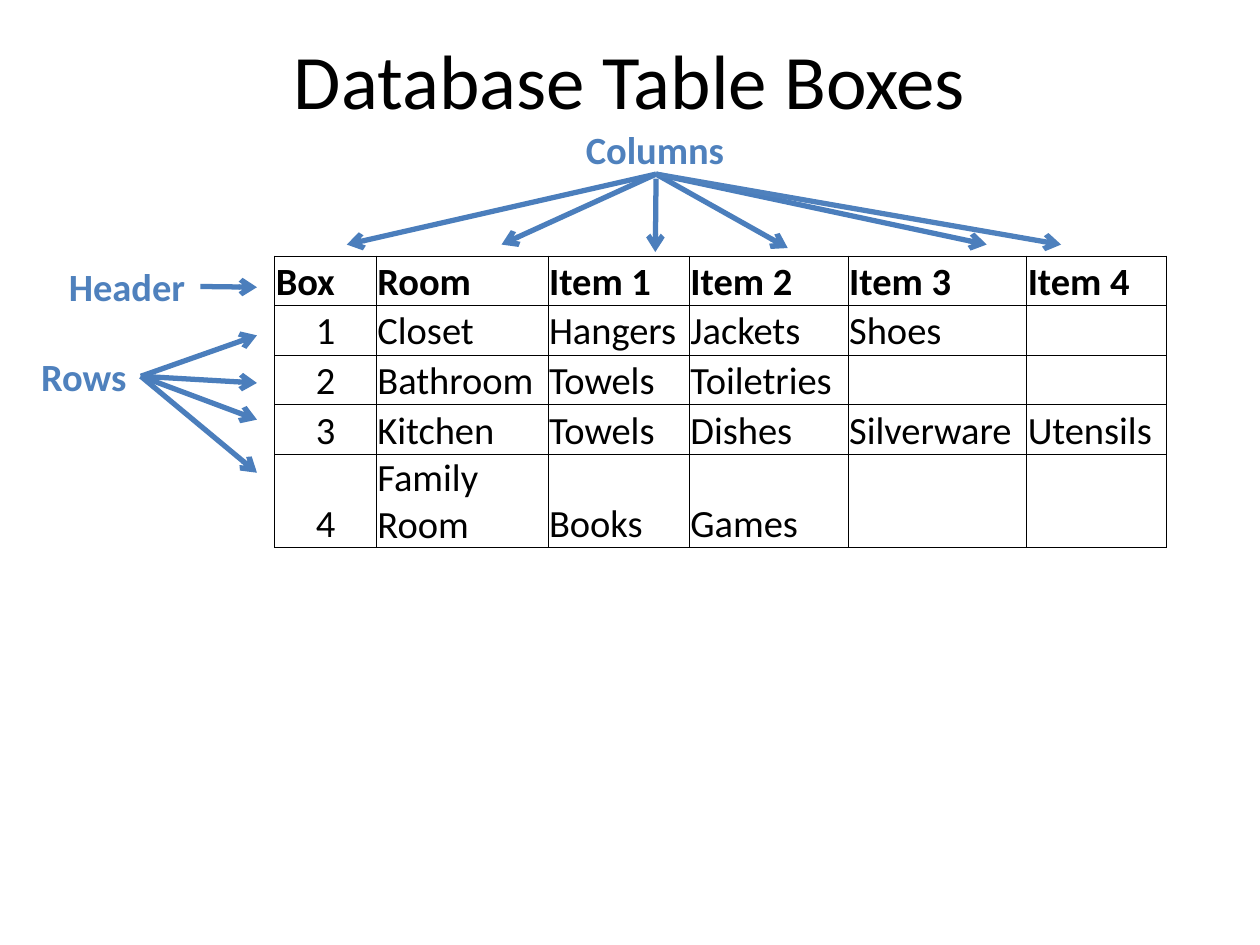
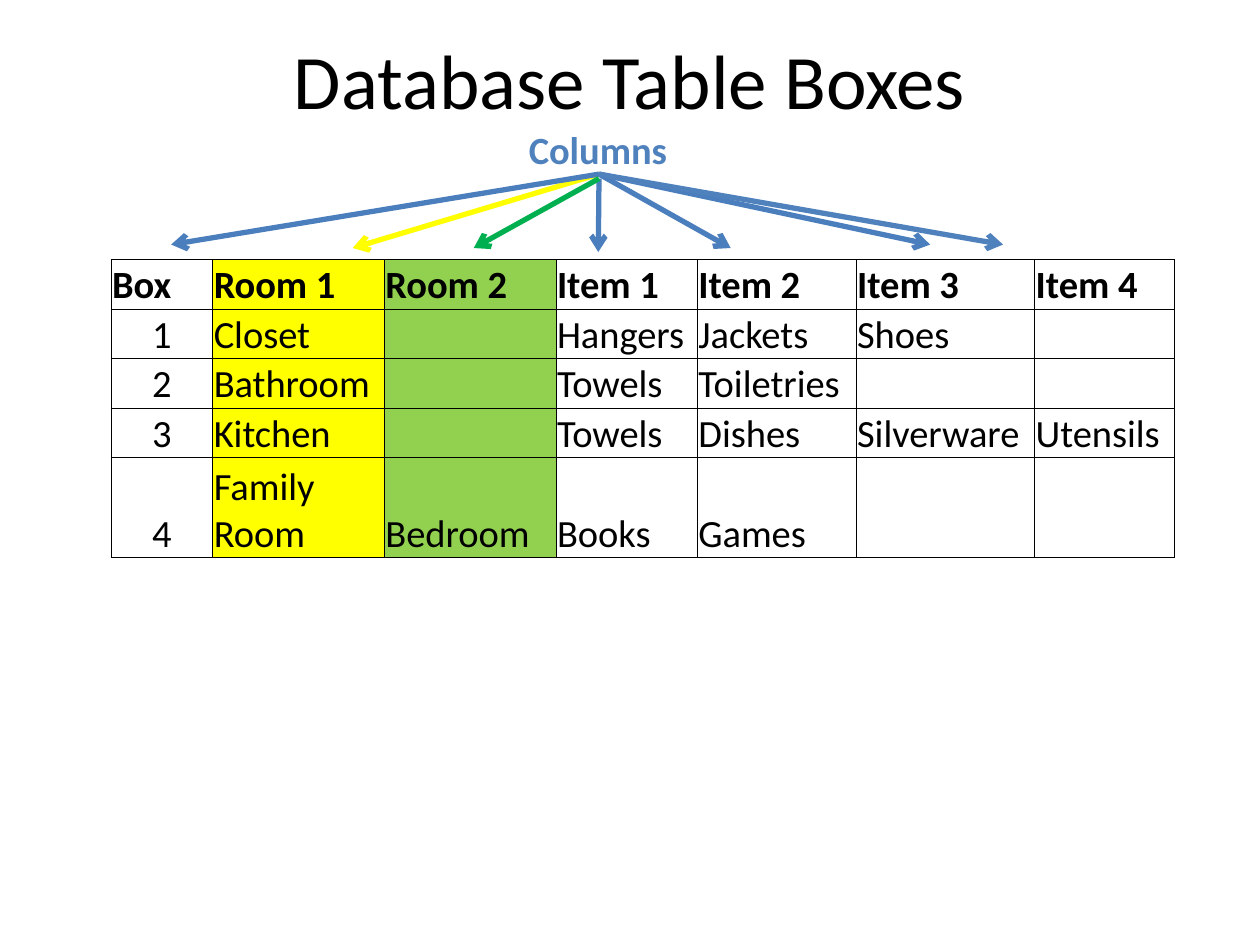
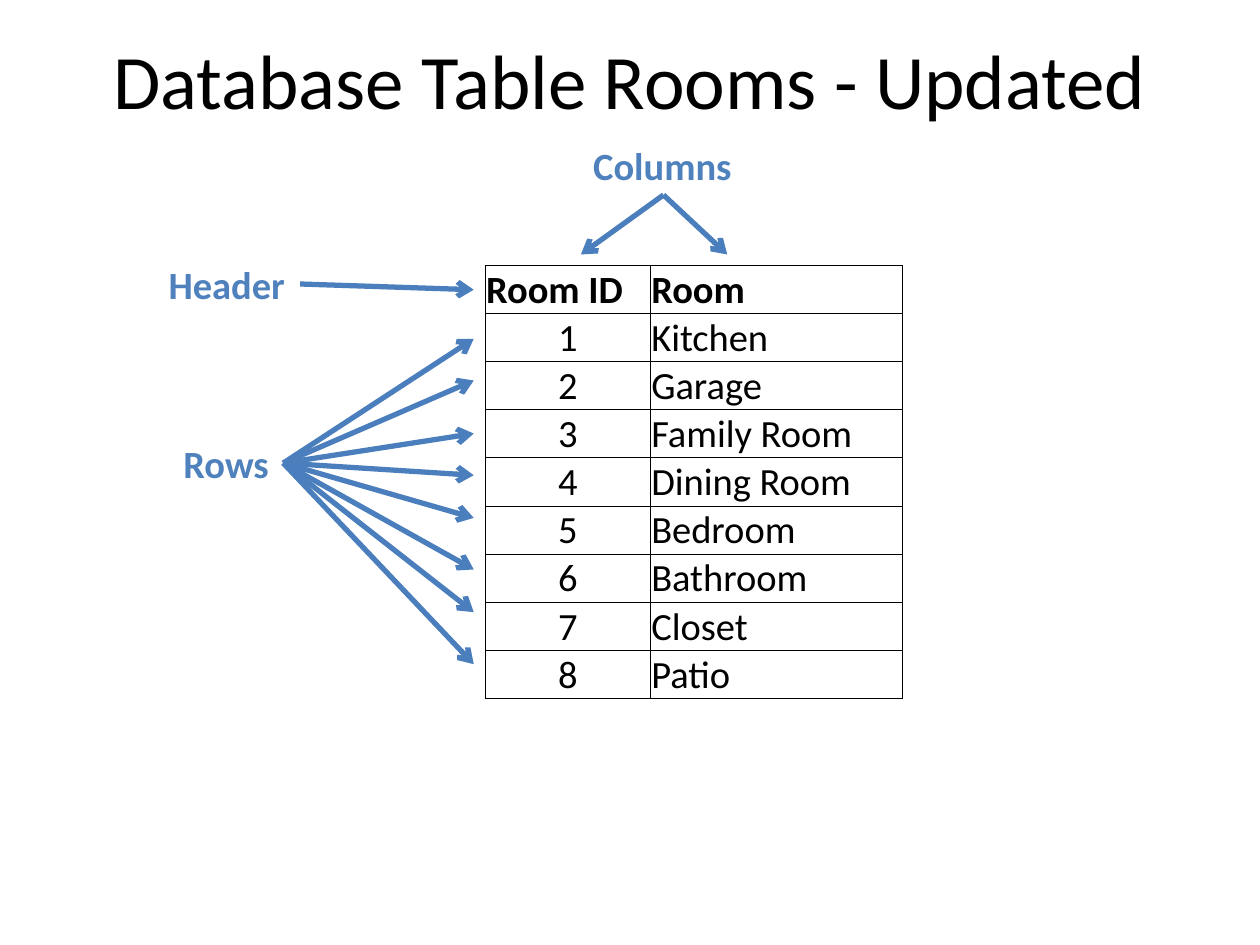
import typing

import pptx
import pptx.dml.color
import pptx.enum.shapes
import pptx.enum.text
import pptx.oxml
import pptx.oxml.ns
import pptx.util

Cm = pptx.util.Cm
Pt = pptx.util.Pt
RGBColor = pptx.dml.color.RGBColor
Align = pptx.enum.text.PP_ALIGN
Anchor = pptx.enum.text.MSO_ANCHOR

FONT = "Calibri"
BLACK = RGBColor(0x00, 0x00, 0x00)
LABEL_BLUE = RGBColor(0x4F, 0x81, 0xBD)
ARROW_BLUE = RGBColor(0x4B, 0x7E, 0xBC)
YELLOW = RGBColor(0xFF, 0xFF, 0x00)
LIGHT_GREEN = RGBColor(0x92, 0xD0, 0x50)
GREEN = RGBColor(0x00, 0xB0, 0x50)

# All lengths below are centimetres.
TITLE_BOX = (1.27, 0, 22.86, 3.18)
LABEL_HEIGHT = 1.19
LABEL_WIDTHS = {"Columns": 3.33, "Header": 2.9, "Rows": 2.26}
LABEL_SIDES = {"Columns": 2, "Header": 3, "Rows": 3}
LIFT = 0.09


class Arrow(typing.NamedTuple):
    """Arrow tip; a lifted arrow starts slightly inside its label."""
    x: float
    y: float
    lift: float = 0
    color: RGBColor = ARROW_BLUE


SLIDES = [
    {
        "title": "Database Table Boxes",
        "table_at": (5.54, 5.16),
        "columns": [2.05, 3.46, 2.85, 3.2, 3.6, 2.81],
        "row_heights": [1, 1, 1, 1, 1.88],
        "column_fills": {},
        "rows": [
            ["Box", "Room", "Item 1", "Item 2", "Item 3", "Item 4"],
            ["1", "Closet", "Hangers", "Jackets", "Shoes", ""],
            ["2", "Bathroom", "Towels", "Toiletries", "", ""],
            ["3", "Kitchen", "Towels", "Dishes", "Silverware", "Utensils"],
            ["4", "Family Room", "Books", "Games", "", ""],
        ],
        "labels": [
            ("Rows", (0.58, 6.99), [Arrow(5.18, y) for y in (6.76, 7.72, 8.46, 9.53)]),
            ("Header", (1.14, 5.18), [Arrow(5.18, 5.79)]),
            ("Columns", (11.56, 2.41), [
                Arrow(13.21, 5.08),
                Arrow(10.11, 4.93, LIFT),
                Arrow(6.99, 4.93, LIFT),
                Arrow(15.88, 5, LIFT),
                Arrow(19.89, 4.93, LIFT),
                Arrow(21.39, 4.93, LIFT, LABEL_BLUE),
            ]),
        ],
    },
    {
        "title": "Database Table Boxes",
        "table_at": (2.24, 5.23),
        "columns": [2.05, 3.46, 3.46, 2.85, 3.2, 3.6, 2.81],
        "row_heights": [1, 1, 1, 1, 2.01],
        "column_fills": {1: YELLOW, 2: LIGHT_GREEN},
        "rows": [
            ["Box", "Room 1", "Room 2", "Item 1", "Item 2", "Item 3", "Item 4"],
            ["1", "Closet", "", "Hangers", "Jackets", "Shoes", ""],
            ["2", "Bathroom", "", "Towels", "Toiletries", "", ""],
            ["3", "Kitchen", "", "Towels", "Dishes", "Silverware", "Utensils"],
            ["4", "Family Room", "Bedroom", "Books", "Games", "", ""],
        ],
        "labels": [
            ("Columns", (10.41, 2.41), [
                Arrow(12.06, 5.08),
                Arrow(7.11, 5, LIFT, YELLOW),
                Arrow(3.45, 4.93, LIFT),
                Arrow(14.73, 5, LIFT),
                Arrow(18.75, 4.93, LIFT),
                Arrow(20.22, 4.93, LIFT, LABEL_BLUE),
                Arrow(9.55, 5, color=GREEN),
            ]),
        ],
    },
    {
        "title": "Database Table Rooms - Updated",
        "table_at": (9.78, 5.35),
        "columns": [3.33, 5.08],
        "row_heights": [0.97] * 9,
        "column_fills": {},
        "rows": [
            ["Room ID", "Room"],
            ["1", "Kitchen"],
            ["2", "Garage"],
            ["3", "Family Room"],
            ["4", "Dining Room"],
            ["5", "Bedroom"],
            ["6", "Bathroom"],
            ["7", "Closet"],
            ["8", "Patio"],
        ],
        "labels": [
            ("Rows", (3.45, 8.74), [
                Arrow(9.55, y)
                for y in (6.83, 7.67, 8.74, 9.58, 10.44, 11.48, 12.34, 13.39)
            ]),
            ("Columns", (11.71, 2.74), [Arrow(14.66, 5.13), Arrow(11.71, 5.13)]),
            ("Header", (3.15, 5.13), [Arrow(9.55, 5.84)]),
        ],
    },
]


def write_text(text_frame, text, size=22, color=BLACK, bold=False, align=Align.LEFT):
    paragraph = text_frame.paragraphs[0]
    paragraph.alignment = align
    run = paragraph.add_run()
    run.text = text
    run.font.name = FONT
    run.font.size = Pt(size)
    run.font.bold = bold
    run.font.color.rgb = color


def add_title(slide, title):
    text_frame = slide.shapes.add_textbox(*map(Cm, TITLE_BOX)).text_frame
    text_frame.word_wrap = True
    text_frame.vertical_anchor = Anchor.MIDDLE
    write_text(text_frame, title, size=44, align=Align.CENTER)


def add_arrow(slide, label, side, arrow):
    """Draw an arrow from the middle of the label's bottom (2) or right (3) side."""
    if side == 2:
        start_x, start_y = label.left + label.width // 2, label.top + label.height
    else:
        start_x, start_y = label.left + label.width, label.top + label.height // 2
    connector = slide.shapes.add_connector(
        pptx.enum.shapes.MSO_CONNECTOR.STRAIGHT,
        start_x, start_y - Cm(arrow.lift), Cm(arrow.x), Cm(arrow.y))
    if not arrow.lift:
        connector.begin_connect(label, side)
    connector.line.color.rgb = arrow.color
    connector.line.width = Pt(3)
    line = connector.line._get_or_add_ln()
    line.append(pptx.oxml.parse_xml(
        f'<a:tailEnd {pptx.oxml.ns.nsdecls("a")} type="arrow"/>'))
    line.addnext(pptx.oxml.parse_xml(f'<a:effectLst {pptx.oxml.ns.nsdecls("a")}/>'))


def add_label(slide, text, position, arrows):
    label = slide.shapes.add_textbox(
        *map(Cm, (*position, LABEL_WIDTHS[text], LABEL_HEIGHT)))
    label.text_frame.word_wrap = False
    label.text_frame.auto_size = pptx.enum.text.MSO_AUTO_SIZE.SHAPE_TO_FIT_TEXT
    write_text(label.text_frame, text, color=LABEL_BLUE, bold=True)
    for arrow in arrows:
        add_arrow(slide, label, LABEL_SIDES[text], arrow)


def add_borders(cell):
    properties = cell._tc.get_or_add_tcPr()
    for side in ("lnL", "lnR", "lnT", "lnB"):
        properties.append(pptx.oxml.parse_xml(
            f'<a:{side} {pptx.oxml.ns.nsdecls("a")} w="{Pt(0.5)}"><a:solidFill>'
            f'<a:srgbClr val="{BLACK}"/></a:solidFill></a:{side}>'))


def format_cell(cell, fill):
    add_borders(cell)
    cell.margin_left = cell.margin_right = cell.margin_top = Cm(0.02)
    cell.margin_bottom = 0
    cell.vertical_anchor = Anchor.BOTTOM
    if fill is None:
        cell.fill.background()
    else:
        cell.fill.solid()
        cell.fill.fore_color.rgb = fill


def add_data_table(slide, content):
    rows, widths, heights = content["rows"], content["columns"], content["row_heights"]
    table = slide.shapes.add_table(
        len(rows), len(widths), *map(Cm, content["table_at"]),
        Cm(sum(widths)), Cm(sum(heights))).table
    table.first_row = table.horz_banding = False
    for column, width in zip(table.columns, widths):
        column.width = Cm(width)
    for row, height in zip(table.rows, heights):
        row.height = Cm(height)
    for row_index, values in enumerate(rows):
        for column_index, value in enumerate(values):
            cell = table.cell(row_index, column_index)
            format_cell(cell, content["column_fills"].get(column_index))
            if value:
                is_number = row_index > 0 and column_index == 0
                write_text(cell.text_frame, value, bold=row_index == 0,
                           align=Align.CENTER if is_number else Align.LEFT)


def main():
    presentation = pptx.Presentation()
    presentation.slide_width = Cm(25.4)
    presentation.slide_height = Cm(19.05)
    for content in SLIDES:
        slide = presentation.slides.add_slide(presentation.slide_layouts[6])
        add_title(slide, content["title"])
        add_data_table(slide, content)
        for text, position, arrows in content["labels"]:
            add_label(slide, text, position, arrows)
    presentation.save("out.pptx")


if __name__ == "__main__":
    main()
